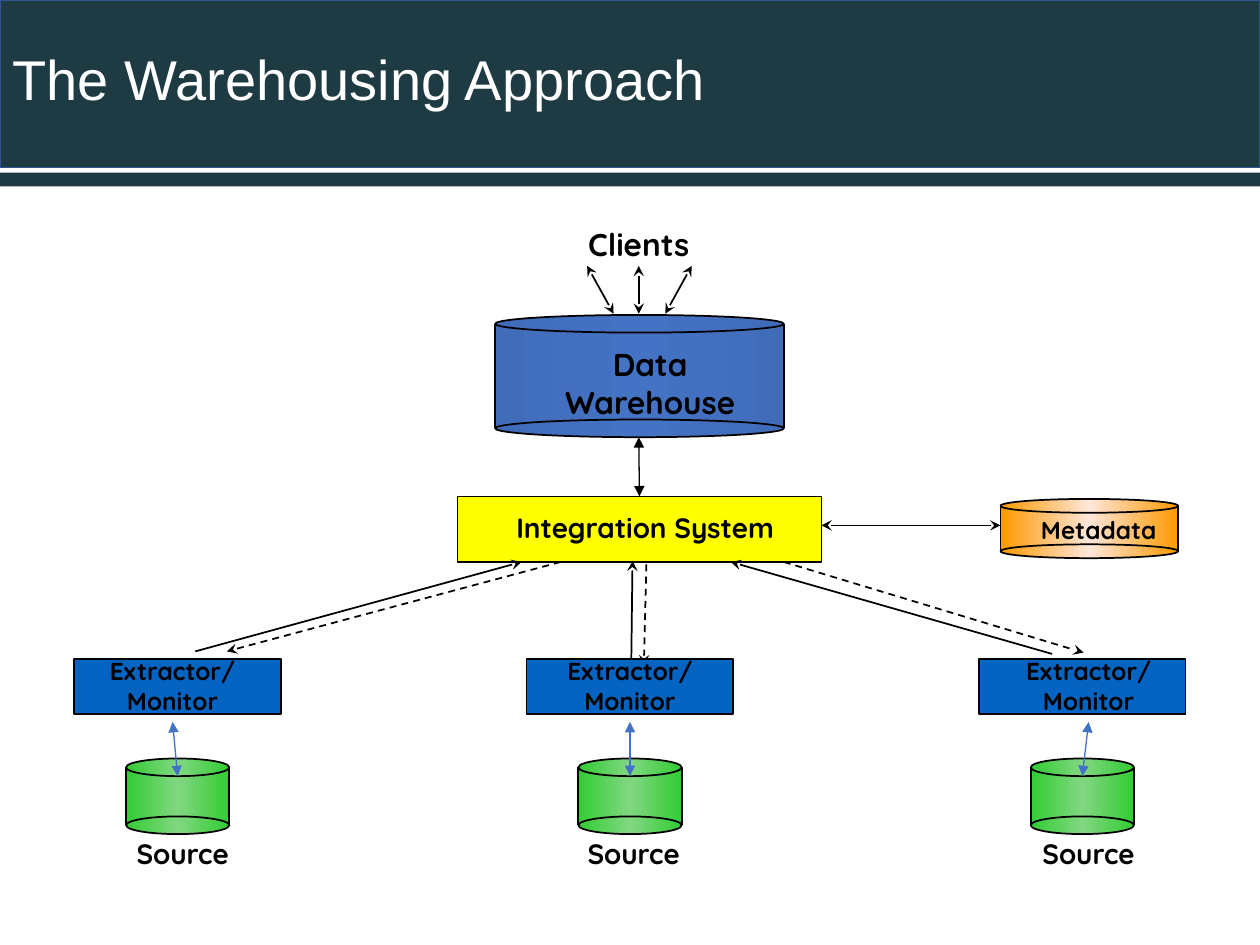
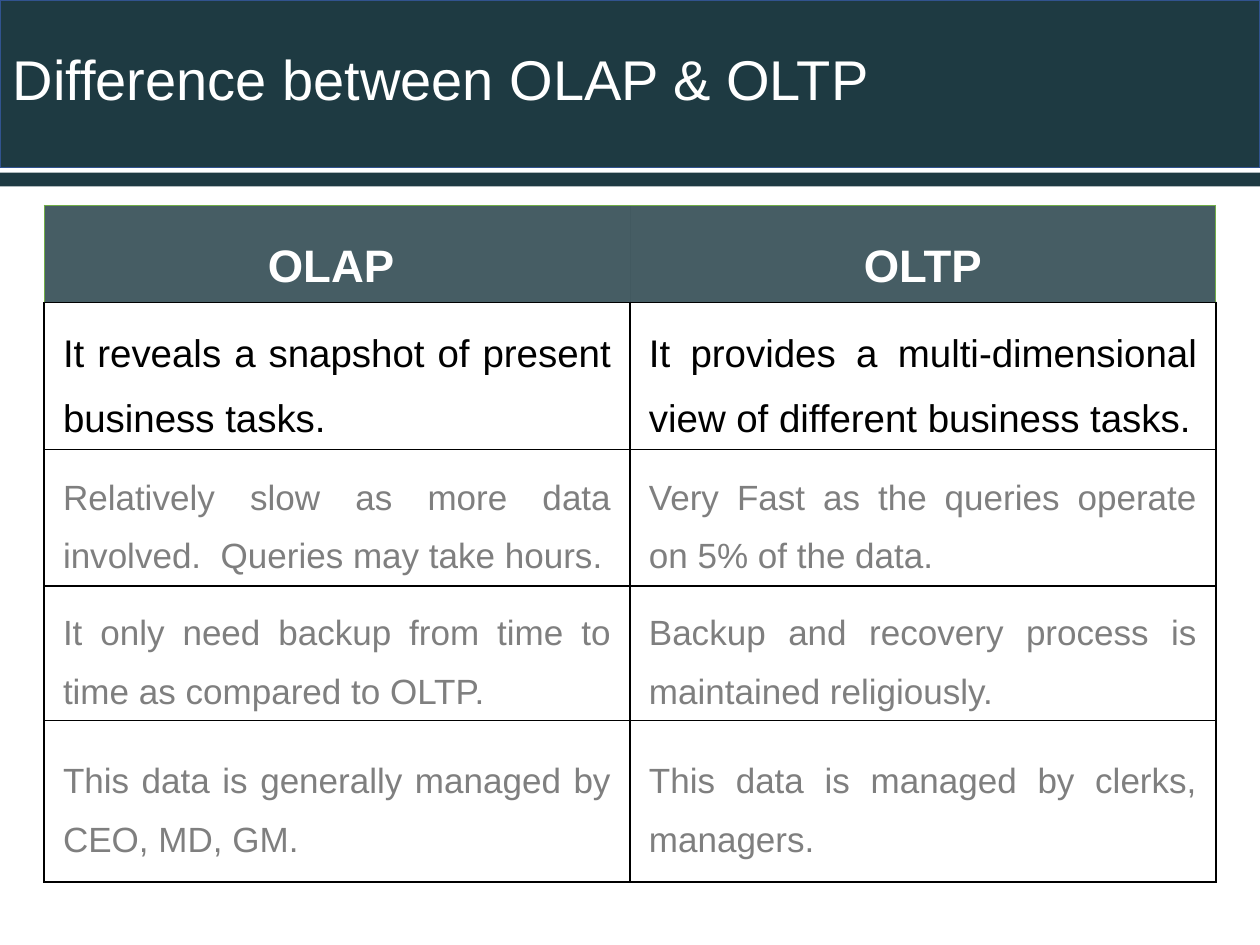
from copy import deepcopy
from dataclasses import dataclass

from lxml import etree
from pptx import Presentation
from pptx.dml.color import RGBColor
from pptx.enum.dml import MSO_LINE
from pptx.enum.shapes import MSO_CONNECTOR, MSO_SHAPE
from pptx.enum.text import MSO_ANCHOR, MSO_AUTO_SIZE, PP_ALIGN
from pptx.oxml.ns import qn
from pptx.util import Pt

EMU_PER_PX = 9144
TITLE_ONLY = 5
TOP_SIDE = 0
RECTANGLE, ELLIPSE = MSO_SHAPE.RECTANGLE, MSO_SHAPE.OVAL
STRAIGHT = MSO_CONNECTOR.STRAIGHT
DASH = MSO_LINE.DASH
LEFT, CENTER, JUSTIFY = PP_ALIGN.LEFT, PP_ALIGN.CENTER, PP_ALIGN.JUSTIFY
MIDDLE, BOTTOM = MSO_ANCHOR.MIDDLE, MSO_ANCHOR.BOTTOM
NO_FIT = MSO_AUTO_SIZE.NONE
BORDER_SIDES = ("L", "R", "T", "B")


@dataclass(frozen=True)
class Theme:
    band: str = "1E3A42"
    band_edge: str = "31538F"
    ink: str = "000000"
    paper: str = "FFFFFF"
    muted: str = "7F7F7F"
    accent: str = "4472C4"
    header_edge: str = "70AD47"
    integration: str = "FFFF00"
    monitor: str = "0563C1"
    warehouse: tuple = ("406CBA", "4472C4")
    metadata: tuple = ("FF9900", "FFE6D9")
    source: tuple = ("33CC33", "81D781")
    text_font: str = "Arial"
    diagram_font: str = "Quicksand"
    title_size: int = 32
    header_size: int = 26
    lead_size: int = 22
    body_size: int = 20
    large_label: int = 18
    label: int = 16
    small_label: int = 14
    line: float = 1
    thin_line: float = 0.75
    header_opacity: int = 82


def px(length):
    return int(length * EMU_PER_PX)


def rgb(colour):
    return RGBColor.from_string(colour)


class Deck:
    def __init__(self, theme):
        self.theme = theme
        self.presentation = Presentation()
        self.presentation.slide_width = px(1000)
        self.presentation.slide_height = px(750)
        self.layout = self.presentation.slide_layouts[TITLE_ONLY]
        self.slide = None

    def add_slide(self, title):
        is_first = self.slide is None
        self.slide = self.presentation.slides.add_slide(self.layout)
        if is_first:
            self.add_bands()
        heading = self.slide.shapes.title
        heading.left, heading.top, heading.width, heading.height = map(px, (0, -1, 1000, 133))
        frame = heading.text_frame
        frame.text = title
        frame.auto_size = NO_FIT
        frame.vertical_anchor = MIDDLE
        paragraph = frame.paragraphs[0]
        paragraph.line_spacing = 0.9
        self.format_text(paragraph, LEFT, self.theme.text_font,
                         self.theme.title_size, self.theme.paper)

    def add_bands(self):
        bands = (
            self.block(RECTANGLE, 0, 0, 1000, 133, self.theme.band, self.theme.band_edge),
            self.block(RECTANGLE, 0, 137, 1000, 11, self.theme.band),
        )
        for position, band in enumerate(bands, start=2):
            self.layout.shapes.element.insert(position, band.element)

    def format_text(self, paragraph, align, font, size, colour, bold=False):
        paragraph.alignment = align
        for run in paragraph.runs:
            run.font.name = font
            run.font.size = Pt(size)
            run.font.bold = bold
            run.font.color.rgb = rgb(colour)

    def block(self, geometry, left, top, width, height, fill, edge=None):
        shape = self.slide.shapes.add_shape(geometry, px(left), px(top), px(width), px(height))
        shape.shadow.inherit = False
        if isinstance(fill, tuple):
            self.fill_gradient(shape, *fill)
        else:
            shape.fill.solid()
            shape.fill.fore_color.rgb = rgb(fill)
        if edge:
            shape.line.color.rgb = rgb(edge)
            shape.line.width = Pt(self.theme.line)
        else:
            shape.line.fill.background()
        return shape

    def fill_gradient(self, shape, outer, inner):
        shape.fill.gradient()
        shape.fill.gradient_angle = 0
        stop_list = shape.element.spPr.find(".//" + qn("a:gsLst"))
        stop_list.append(deepcopy(stop_list[0]))
        colours = (outer, inner, outer)
        for stop, position, colour in zip(shape.fill.gradient_stops, (0, 0.5, 1), colours):
            stop.position = position
            stop.color.rgb = rgb(colour)

    def label(self, text, center, top, width, height, size):
        box = self.slide.shapes.add_textbox(px(center - width / 2), px(top),
                                            px(width), px(height))
        box.text_frame.word_wrap = True
        box.text_frame.text = text
        for paragraph in box.text_frame.paragraphs:
            self.format_text(paragraph, CENTER, self.theme.diagram_font,
                             size, self.theme.ink, True)

    def connector(self, start, end, head=None, tail=None, colour=None, width=None, dash=None):
        line = self.slide.shapes.add_connector(STRAIGHT, *map(px, (*start, *end)))
        line.line.color.rgb = rgb(colour or self.theme.ink)
        line.line.width = Pt(width or self.theme.line)
        if dash:
            line.line.dash_style = dash
        properties = line.element.spPr
        outline = properties.find(qn("a:ln"))
        for tag, arrowhead in (("a:headEnd", head), ("a:tailEnd", tail)):
            if arrowhead:
                etree.SubElement(outline, qn(tag), type=arrowhead)
        etree.SubElement(properties, qn("a:effectLst"))
        return line

    def cylinder(self, left, top, width, height, lid, fill, body_edge=None):
        body_top = top + lid // 2
        body_bottom = top + height - lid // 2
        self.block(RECTANGLE, left, body_top, width, body_bottom - body_top, fill, body_edge)
        for side in (left, left + width):
            self.connector((side, body_top), (side, body_bottom))
        for lid_top in (top, top + height - lid):
            self.block(ELLIPSE, left, lid_top, width, lid, fill, self.theme.ink)

    def table(self, left, top, column_widths, row_heights, rows):
        frame = self.slide.shapes.add_table(len(rows), len(column_widths), px(left), px(top),
                                            px(sum(column_widths)), px(sum(row_heights)))
        grid = frame.table
        grid.first_row = grid.horz_banding = False
        for column, width in zip(grid.columns, column_widths):
            column.width = px(width)
        for row, height in zip(grid.rows, row_heights):
            row.height = px(height)
        for row_index, texts in enumerate(rows):
            for column_index, text in enumerate(texts):
                cell = grid.cell(row_index, column_index)
                if row_index == 0:
                    self.header_cell(cell, text, column_index == 0)
                else:
                    self.body_cell(cell, text, row_index)

    def cell_text(self, cell, text, margins, anchor, align, size, colour, bold):
        cell.margin_left = cell.margin_right = px(margins[0])
        cell.margin_top = cell.margin_bottom = px(margins[1])
        cell.vertical_anchor = anchor
        cell.text_frame.text = text
        paragraph = cell.text_frame.paragraphs[0]
        paragraph.line_spacing = 1.5
        self.format_text(paragraph, align, self.theme.text_font, size, colour, bold)

    def header_cell(self, cell, text, is_left):
        theme = self.theme
        self.cell_text(cell, text, (8, 8), MIDDLE, CENTER, theme.header_size, theme.paper, True)
        cell.fill.solid()
        cell.fill.fore_color.rgb = rgb(theme.band)
        fill_colour = cell._tc.tcPr.find(".//" + qn("a:srgbClr"))
        etree.SubElement(fill_colour, qn("a:alpha"), val=str(theme.header_opacity * 1000))
        edge = (theme.header_edge, theme.thin_line)
        self.borders(cell, {"L" if is_left else "R": edge, "T": edge,
                            "B": (theme.ink, theme.line)})

    def body_cell(self, cell, text, row_index):
        theme = self.theme
        is_lead = row_index == 1
        self.cell_text(cell, text, (15, 7), BOTTOM if row_index == 3 else MIDDLE, JUSTIFY,
                       theme.lead_size if is_lead else theme.body_size,
                       theme.ink if is_lead else theme.muted, False)
        cell.fill.background()
        self.borders(cell, dict.fromkeys(BORDER_SIDES, (theme.ink, theme.line)))

    def borders(self, cell, edges):
        for position, side in enumerate(BORDER_SIDES):
            border = etree.Element(qn(f"a:ln{side}"))
            if side in edges:
                colour, width = edges[side]
                border.set("w", str(Pt(width)))
                fill = etree.SubElement(border, qn("a:solidFill"))
                etree.SubElement(fill, qn("a:srgbClr"), val=colour)
            else:
                etree.SubElement(border, qn("a:noFill"))
            cell._tc.tcPr.insert(position, border)


def build_warehousing(deck):
    theme = deck.theme
    deck.add_slide("The Warehousing Approach")

    deck.label("Clients", 507, 174, 110, 40, theme.large_label)
    deck.cylinder(393, 250, 229, 97, 14, theme.warehouse)
    deck.label("Data\nWarehouse", 516, 269, 166, 71, theme.large_label)
    for client_x, warehouse_x in ((466, 487), (507, 507), (549, 528)):
        deck.connector((client_x, 211), (warehouse_x, 249), "stealth", "stealth")

    integration = deck.block(RECTANGLE, 363, 394, 289, 52, theme.integration, theme.ink)
    deck.label("Integration System", 512, 400, 229, 37, theme.label)
    load = deck.connector((507, 347), (507, 394), "triangle", "triangle", width=theme.thin_line)
    load.end_connect(integration, TOP_SIDE)

    deck.cylinder(794, 396, 141, 47, 11, theme.metadata, theme.paper)
    deck.label("Metadata", 872, 404, 119, 34, theme.small_label)
    deck.connector((652, 417), (794, 417), "stealth", "stealth")

    extracts = (((155, 517), (414, 446)), ((501, 528), (502, 445)), ((835, 519), (580, 446)))
    requests = (((445, 446), (180, 517)), ((513, 448), (511, 528)), ((622, 446), (860, 518)))
    for start, end in extracts:
        deck.connector(start, end, tail="stealth")
    for start, end in requests:
        deck.connector(start, end, tail="stealth", dash=DASH)

    for branch, (monitor_x, source_x) in enumerate(((137, 145), (500, 503), (864, 864))):
        offset = 359 * branch
        deck.label("Source", source_x, 659, 103, 37, theme.label)
        deck.cylinder(100 + offset, 602, 82, 60, 14, theme.source, theme.paper)
        deck.block(RECTANGLE, 59 + offset, 523, 164, 44, theme.monitor, theme.ink)
        deck.label("Extractor/\nMonitor", monitor_x, 516, 140, 57, theme.small_label)
        deck.connector((141 + offset, 616), (monitor_x, 573), "triangle", "triangle",
                       theme.accent, theme.thin_line)


def build_comparison(deck):
    deck.add_slide("Difference between OLAP & OLTP")
    rows = (
        ("OLAP ", "OLTP"),
        ("It reveals a snapshot of present business tasks.",
         "It provides a multi-dimensional view of different business tasks."),
        ("Relatively slow as more data involved.  Queries may take hours.",
         "Very Fast as the queries operate on 5% of the data."),
        ("It only need backup from time to time as compared to OLTP.",
         "Backup and recovery process is maintained religiously."),
        ("This data is generally managed by CEO, MD, GM.",
         "This data is managed by clerks, managers."),
    )
    deck.table(35, 163, (465, 465), (77, 117, 108, 107, 128), rows)


def main():
    deck = Deck(Theme())
    build_warehousing(deck)
    build_comparison(deck)
    deck.presentation.save("out.pptx")


if __name__ == "__main__":
    main()
